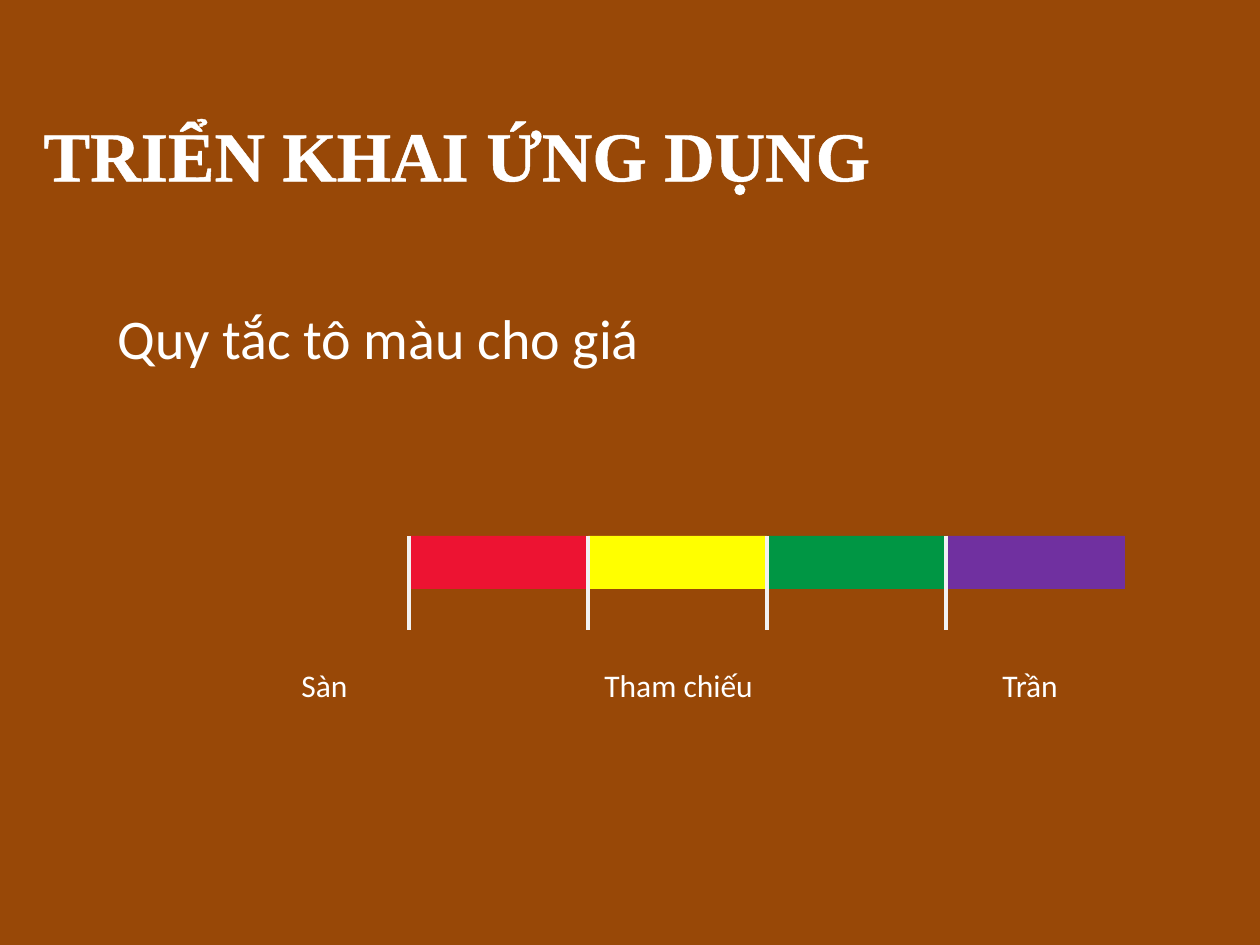
from dataclasses import dataclass

from lxml.etree import SubElement
from pptx import Presentation
from pptx.dml.color import RGBColor
from pptx.enum.shapes import MSO_CONNECTOR, MSO_SHAPE
from pptx.enum.text import MSO_ANCHOR, MSO_AUTO_SIZE, PP_ALIGN
from pptx.oxml import parse_xml
from pptx.oxml.ns import nsdecls, qn
from pptx.util import Emu, Pt

TITLE = ("TRIỂN KHAI ỨNG DỤNG", (31, 105, 862, 97))
SUBTITLE = ("Quy tắc tô màu cho giá", (105, 297, 553, 81))
PRICE_LABELS = [
    ("Sàn", (289, 660, 72, 50)),
    ("Tham chiếu", (592, 660, 176, 50)),
    ("Trần", (990, 660, 82, 50)),
]
BAND_COLOURS = ["ED1332", "FFFF00", "009644", "7030A0"]
BAND_LEFT, BAND_TOP, BAND_WIDTH, BAND_HEIGHT = 409, 536, 179, 53
TICK_HEIGHT = 94


@dataclass(frozen=True)
class Theme:
    background: str = "984807"
    text: str = "FFFFFF"
    tick: str = "F2F2F2"
    title_font: str = "Times New Roman"
    body_font: str = "Calibri"
    title_size: int = 40
    subtitle_size: int = 32
    label_size: int = 18
    tick_width: float = 2.25
    outline_width: float = 1.45


THEME = Theme()


def px(value):
    return Emu(round(value * 914400 / 126))


def colour(value):
    return RGBColor.from_string(value)


def write_text(shape, text, font_name, size, bold=False):
    frame = shape.text_frame
    frame.text = text
    frame.word_wrap = False
    frame.auto_size = MSO_AUTO_SIZE.SHAPE_TO_FIT_TEXT
    frame.vertical_anchor = MSO_ANCHOR.TOP
    paragraph = frame.paragraphs[0]
    paragraph.alignment = PP_ALIGN.LEFT
    font = paragraph.font
    font.name, font.size, font.bold = font_name, Pt(size), bold
    font.color.rgb = colour(THEME.text)
    return paragraph


def add_title(slide, text, box):
    title = slide.shapes.title
    title.left, title.top, title.width, title.height = map(px, box)
    paragraph = write_text(title, text, THEME.title_font, THEME.title_size, bold=True)
    outline = parse_xml(
        f'<a:ln {nsdecls("a")} w="{Pt(THEME.outline_width)}"><a:solidFill>'
        f'<a:srgbClr val="{THEME.text}"/></a:solidFill></a:ln>'
    )
    paragraph.runs[0].font._element.insert(0, outline)


def add_label(slide, text, box, size):
    label = slide.shapes.add_textbox(*map(px, box))
    write_text(label, text, THEME.body_font, size)


def add_band(slide, left, fill):
    band = slide.shapes.add_shape(
        MSO_SHAPE.RECTANGLE, px(left), px(BAND_TOP), px(BAND_WIDTH), px(BAND_HEIGHT)
    )
    band.shadow.inherit = False
    band.fill.solid()
    band.fill.fore_color.rgb = colour(fill)
    band.line.fill.background()


def add_tick(slide, left):
    tick = slide.shapes.add_connector(
        MSO_CONNECTOR.STRAIGHT, px(left), px(BAND_TOP), px(left), px(BAND_TOP + TICK_HEIGHT)
    )
    tick.line.color.rgb = colour(THEME.tick)
    tick.line.width = Pt(THEME.tick_width)
    SubElement(tick._element.spPr, qn("a:effectLst"))


def main():
    presentation = Presentation()
    presentation.slide_width, presentation.slide_height = px(1260), px(945)
    slide = presentation.slides.add_slide(presentation.slide_layouts[5])
    slide.background.fill.solid()
    slide.background.fill.fore_color.rgb = colour(THEME.background)

    add_title(slide, *TITLE)
    add_label(slide, *SUBTITLE, THEME.subtitle_size)
    edges = [BAND_LEFT + index * BAND_WIDTH for index in range(len(BAND_COLOURS))]
    for left, fill in zip(edges, BAND_COLOURS):
        add_band(slide, left, fill)
    for left in edges:
        add_tick(slide, left)
    for text, box in PRICE_LABELS:
        add_label(slide, text, box, THEME.label_size)

    presentation.save("out.pptx")


if __name__ == "__main__":
    main()
